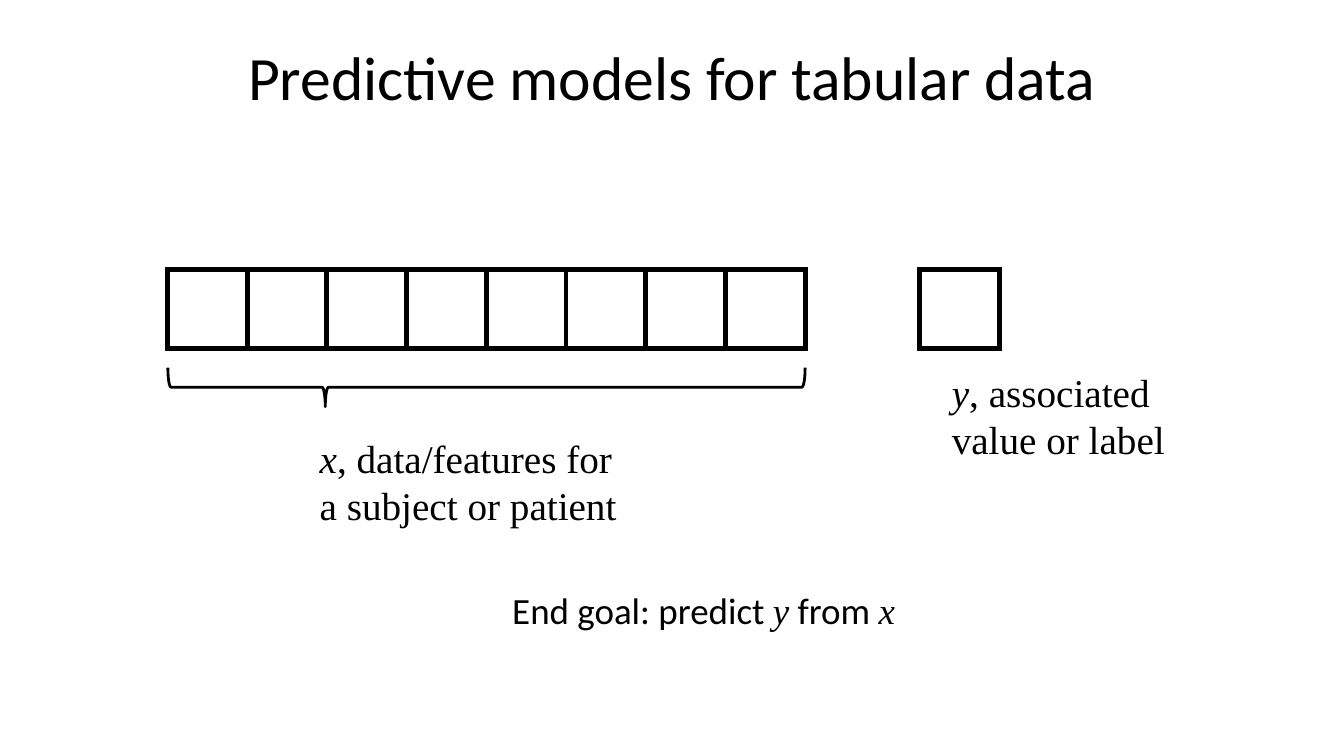
from dataclasses import dataclass

from lxml import etree
from pptx import Presentation, util as u
from pptx.dml.color import RGBColor
from pptx.enum import shapes, text
from pptx.oxml.ns import qn

WIDTH = u.Inches(10)
HEIGHT = WIDTH * 9 // 16
COLORS = {"paper": "FFFFFF", "ink": "000000"}
SANS, SERIF = "Calibri", "Times New Roman"
VECTOR_TOP, CELL_WIDTH, CELL_HEIGHT = 35.7, 5.93, 10.35


@dataclass(frozen=True)
class Area:
    """A rectangle in percent of the slide's width and height."""

    left: float
    top: float
    width: float
    height: float

    def emu(self) -> tuple:
        """Return left, top, width and height as lengths."""
        return (int(WIDTH * self.left / 100), int(HEIGHT * self.top / 100),
                int(WIDTH * self.width / 100), int(HEIGHT * self.height / 100))


@dataclass(frozen=True)
class Vector:
    """A row of empty cells starting at a share of the slide's width."""

    left: float
    cells: int


@dataclass(frozen=True)
class Caption:
    """Words with their place; symbols between asterisks are set in italics."""

    words: str
    area: Area
    size: float
    font: str
    wrap: bool = True


VECTORS = [Vector(12.47, 8), Vector(68.42, 1)]
CAPTIONS = [
    Caption("*x*, data/features for a subject or patient",
            Area(22.8, 56.58, 24.5, 14.4), 21, SERIF),
    Caption("*y*, associated value or label",
            Area(69.83, 47.85, 21.9, 14.4), 21, SERIF),
    Caption("End goal: predict *y* from *x*",
            Area(37.13, 76.85, 31.3, 7.64), 19.8, SANS, wrap=False),
]


def color(name: str) -> RGBColor:
    """Look up a named colour."""
    return RGBColor.from_string(COLORS[name])


def write(frame, words: str, *, size: float, font: str, wrap: bool = True,
          align=text.PP_ALIGN.LEFT, spacing: float = 1.0) -> None:
    """Write one paragraph, with the parts between asterisks as symbols."""
    frame.word_wrap = wrap
    frame.vertical_anchor = text.MSO_ANCHOR.TOP
    paragraph = frame.paragraphs[0]
    paragraph.alignment, paragraph.line_spacing = align, spacing
    for index, part in enumerate(words.split("*")):
        if part:
            symbol = index % 2 == 1
            run = paragraph.add_run()
            run.text = part
            run.font.size, run.font.italic = u.Pt(size), symbol
            run.font.name = SERIF if symbol else font
            run.font.color.rgb = color("ink")


def draw_caption(slide, caption: Caption) -> None:
    """Place a caption in a text box."""
    frame = slide.shapes.add_textbox(*caption.area.emu()).text_frame
    write(frame, caption.words, size=caption.size, font=caption.font, wrap=caption.wrap)
    frame.auto_size = text.MSO_AUTO_SIZE.SHAPE_TO_FIT_TEXT


def outline(cell, points: float) -> None:
    """Give a cell four solid borders and no fill."""
    properties = cell._tc.get_or_add_tcPr()
    for side in ("a:lnL", "a:lnR", "a:lnT", "a:lnB"):
        border = etree.SubElement(properties, qn(side), w=str(u.Pt(points)))
        fill = etree.SubElement(border, qn("a:solidFill"))
        etree.SubElement(fill, qn("a:srgbClr"), val=COLORS["ink"])
    cell.fill.background()


def draw_vector(slide, vector: Vector) -> None:
    """Draw a vector as a one-row table."""
    area = Area(vector.left, VECTOR_TOP, CELL_WIDTH * vector.cells, CELL_HEIGHT)
    table = slide.shapes.add_table(1, vector.cells, *area.emu()).table
    table.first_row = table.horz_banding = False
    for cell in table.iter_cells():
        outline(cell, 3)


def draw_brace(slide, area: Area) -> None:
    """Draw the brace that spans the features, turned to point down."""
    brace = slide.shapes.add_shape(shapes.MSO_SHAPE.LEFT_BRACE, *area.emu())
    brace.rotation = 270
    brace.adjustments[0], brace.adjustments[1] = 8.3 / 100, 24.7 / 100
    brace.shadow.inherit = False
    brace.fill.background()
    brace.line.color.rgb = color("ink")
    brace.line.width = u.Pt(1.5)


def main() -> None:
    """Build and save the slide."""
    deck = Presentation()
    deck.slide_width, deck.slide_height = WIDTH, HEIGHT
    slide = deck.slides.add_slide(deck.slide_layouts.get_by_name("Title Only"))
    slide.background.fill.solid()
    slide.background.fill.fore_color.rgb = color("paper")

    title = slide.shapes.title
    title.left, title.top, title.width, title.height = Area(0, 5.33, 100, 19.38).emu()
    write(title.text_frame, "Predictive models for tabular data", size=33, font=SANS,
          align=text.PP_ALIGN.CENTER, spacing=0.9)
    title.text_frame.auto_size = text.MSO_AUTO_SIZE.NONE

    draw_brace(slide, Area(34.75, 9.07, 2.9, 84.3))
    for caption in CAPTIONS:
        draw_caption(slide, caption)
    for vector in VECTORS:
        draw_vector(slide, vector)
    deck.save("out.pptx")


if __name__ == "__main__":
    main()
